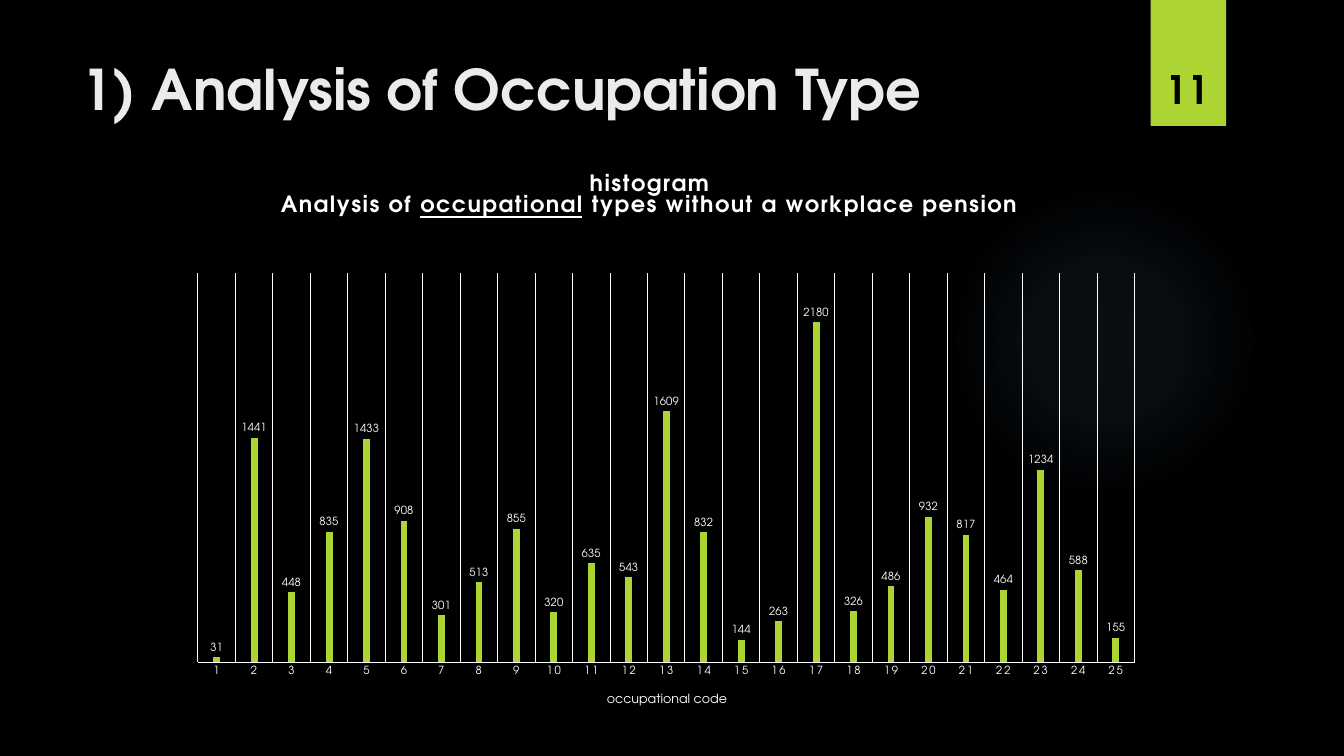
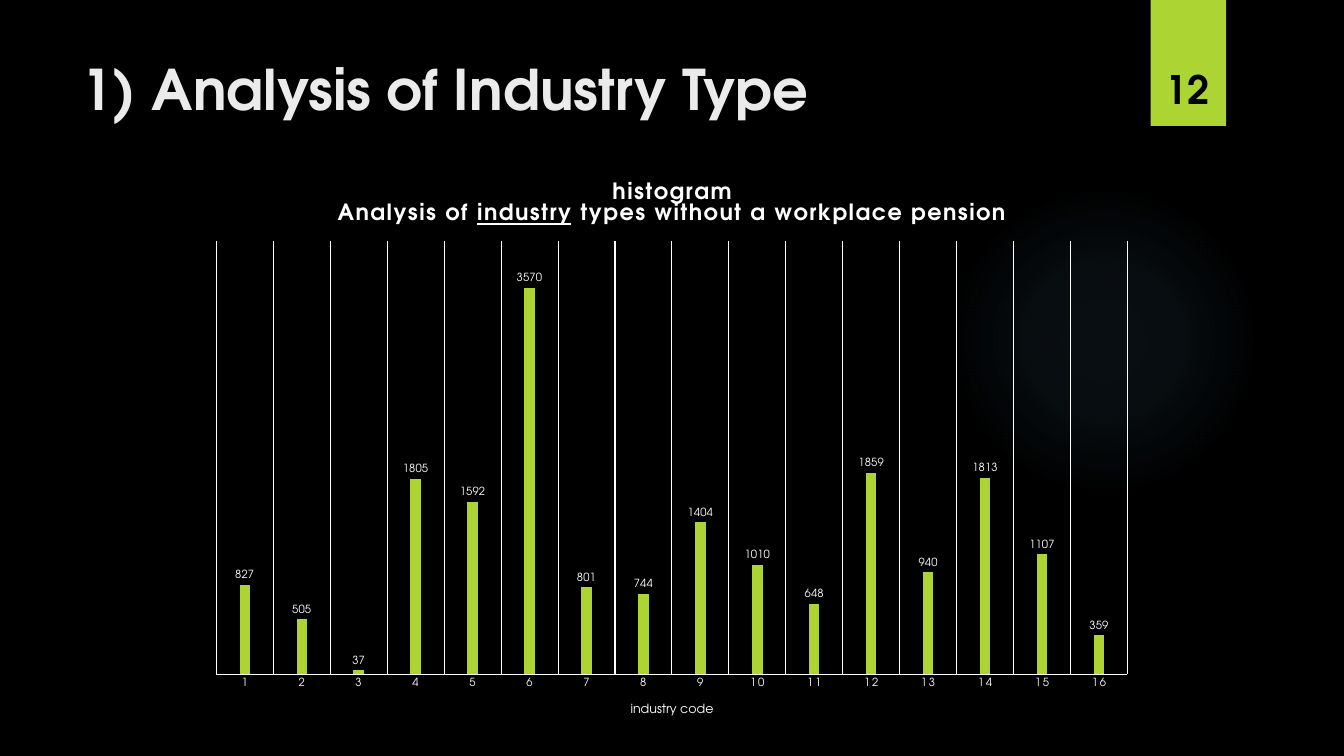
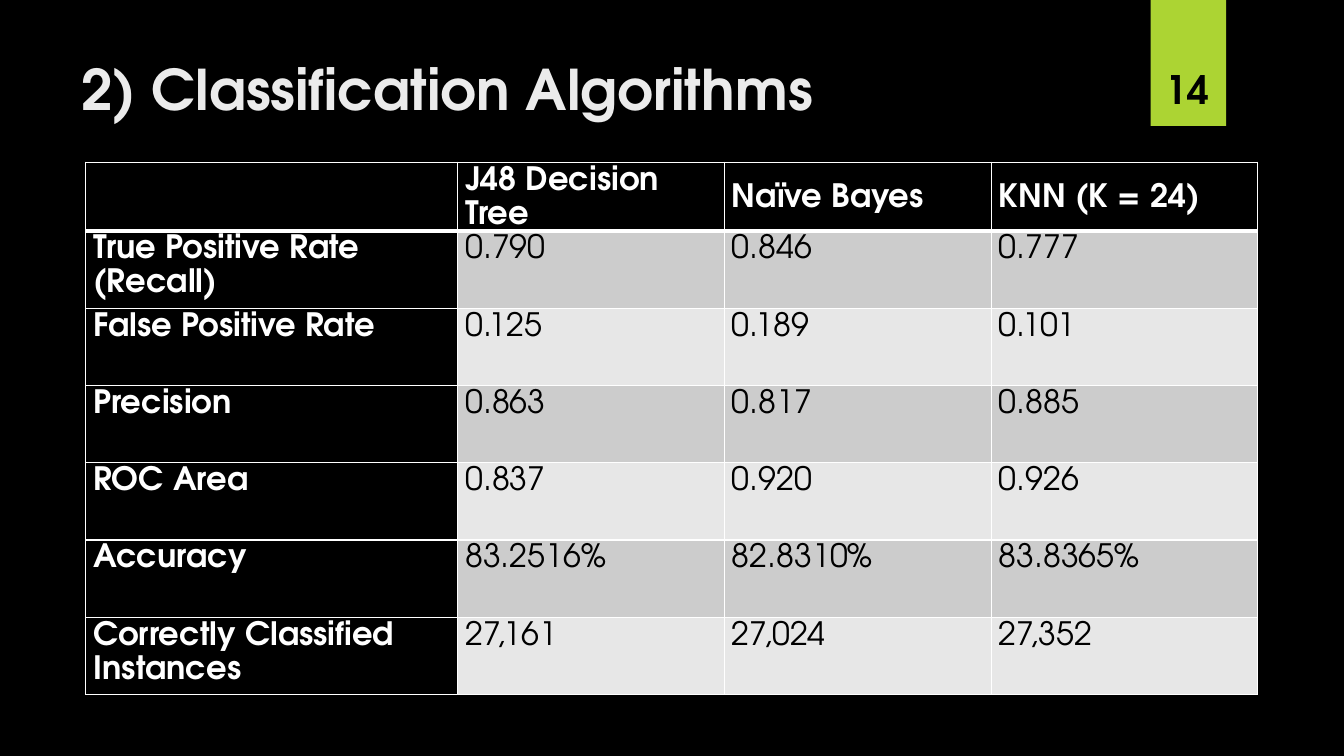
from pptx import Presentation
from pptx.chart.data import CategoryChartData as Data
from pptx.dml.color import RGBColor
from pptx.enum.chart import XL_CHART_TYPE as Kind, XL_LABEL_POSITION as Pos, XL_TICK_MARK as Tick
from pptx.enum.shapes import MSO_SHAPE as Form
from pptx.enum.text import MSO_ANCHOR as Anchor, PP_ALIGN as Align
from pptx.oxml import parse_xml
from pptx.oxml.ns import nsdecls
from pptx.util import Pt

FACE = "TeX Gyre Adventor"
BLACK, WHITE, LIME, PALE = "000000", "FFFFFF", "ACD433", "EBEBEB"
GREYS = ["CCCCCC", "E7E7E7"]
COLS, ROWS, UNIT = 160, 90, 76200


def hue(code):
    return RGBColor.from_string(code)


def style(font, size, code, bold=False):
    font.name, font.size, font.bold = FACE, Pt(size), bold
    font.color.rgb = hue(code)


deck = Presentation()
deck.slide_width, deck.slide_height = COLS * UNIT, ROWS * UNIT

heads = [
    ("1) Analysis of Occupation Type", "11"),
    ("1) Analysis of Industry Type", "12"),
    ("2) Classification Algorithms", "14"),
]
stops = "".join(
    f'<a:gs pos="{at}000"><a:srgbClr val="7AC4F0"><a:alpha val="{alpha}000"/></a:srgbClr></a:gs>'
    for at, alpha in [(0, 7), (36, 6), (69, 0)])
glow = (f'<a:gradFill {nsdecls("a")} rotWithShape="1"><a:gsLst>{stops}</a:gsLst><a:path path="circle">'
        '<a:fillToRect l="50000" t="50000" r="50000" b="50000"/></a:path></a:gradFill>')

slides = []
for title, page in heads:
    slide = deck.slides.add_slide(deck.slide_layouts[6])
    slides.append(slide)
    slide.background.fill.solid()
    slide.background.fill.fore_color.rgb = hue(BLACK)

    for form, spot in [(Form.OVAL, (112.9, 22, 37, 37)), (Form.RECTANGLE, (136.98, 0, 9, 15))]:
        shape = slide.shapes.add_shape(form, *(round(n * UNIT) for n in spot))
        shape.shadow.inherit = False
        shape.line.fill.background()
        if form == Form.OVAL:
            shape.fill.background()
            blank = shape.fill._xPr.find("{*}noFill")
            blank.getparent().replace(blank, parse_xml(glow))
        else:
            shape.fill.solid()
            shape.fill.fore_color.rgb = hue(LIME)

    for text, spot, size, code, side, anchor in [
        (title, (8.5, 5.9, 123.5, 18.4), 40, PALE, Align.LEFT, Anchor.TOP),
        (page, (135.9, 3.9, 11, 10.1), 28, BLACK, Align.CENTER, Anchor.BOTTOM),
    ]:
        frame = slide.shapes.add_textbox(*(round(n * UNIT) for n in spot)).text_frame
        frame.word_wrap = True
        frame.vertical_anchor = anchor
        par = frame.paragraphs[0]
        par.text, par.alignment = text, side
        style(par.font, size, code, True)

plots = [
    ("occupational", (19.4, 18.2, 115.8, 67.9), (0.036, 0.21, 0.963, 0.683), 0.942, 2500,
     [31, 1441, 448, 835, 1433, 908, 301, 513, 855, 320, 635, 543, 1609,
      832, 144, 263, 2180, 326, 486, 932, 817, 464, 1234, 588, 155]),
    ("industry", (23.5, 19.1, 113, 68.5), (0.02, 0.14, 0.96, 0.753), 0.939, 4000,
     [827, 505, 37, 1805, 1592, 3570, 801, 744, 1404, 1010, 648, 1859, 940, 1813, 1107, 359]),
]
for slide, (topic, spot, inner, low, top, vals) in zip(slides, plots):
    data = Data()
    data.categories = [str(n + 1) for n in range(len(vals))]
    data.add_series("Series 1", vals)
    chart = slide.shapes.add_chart(
        Kind.COLUMN_CLUSTERED, *(round(n * UNIT) for n in spot), data).chart
    style(chart.font, 10, WHITE)
    chart.has_legend = False

    frame = chart.chart_title.text_frame
    frame.text = "histogram"
    line = frame.add_paragraph()
    for part in ["Analysis of ", topic, " types without a workplace pension"]:
        run = line.add_run()
        run.text = part
        run.font.underline = part == topic
    for par in frame.paragraphs:
        style(par.font, 16, WHITE, True)
        for run in par.runs:
            style(run.font, 16, WHITE, True)
            run.font._element.set("spc", "120")
    chart.chart_title.include_in_layout = False

    axis = chart.category_axis
    axis.major_tick_mark = axis.minor_tick_mark = Tick.NONE
    style(axis.tick_labels.font, 8, WHITE)
    axis.tick_labels.font._element.set("spc", "120")
    axis.has_major_gridlines = True
    for rule in [axis.format.line, axis.major_gridlines.format.line]:
        rule.color.rgb, rule.width = hue(WHITE), Pt(0.75)
    label = axis.axis_title.text_frame
    label.text = f"{topic} code"
    style(label.paragraphs[0].runs[0].font, 9, WHITE)

    scale = chart.value_axis
    scale.minimum_scale, scale.maximum_scale = 0, top
    scale.has_major_gridlines = False
    scale.visible = False

    plot = chart.plots[0]
    plot.gap_width, plot.overlap, plot.vary_by_categories = 444, -90, False
    bars = plot.series[0].format.fill
    bars.solid()
    bars.fore_color.rgb = hue(LIME)
    plot.has_data_labels = True
    tags = plot.data_labels
    tags.show_value, tags.position = True, Pos.OUTSIDE_END
    style(tags.font, 8, WHITE)

    area = chart._chartSpace.chart.plotArea
    for host, keys, sizes, mark in [
        (area, "xywh", inner, '<c:layoutTarget val="inner"/>'),
        (axis.axis_title._element, "xy", (0.454, low), ""),
    ]:
        for old in host.findall("{*}layout"):
            host.remove(old)
        modes = "".join(f'<c:{key}Mode val="edge"/>' for key in "xy")
        sides = "".join(f'<c:{key} val="{size}"/>' for key, size in zip(keys, sizes))
        place = parse_xml(f'<c:layout {nsdecls("c")}><c:manualLayout>{mark}{modes}{sides}'
                          '</c:manualLayout></c:layout>')
        host.insert(0 if host is area else 1, place)

rows = [
    ("", "J48 Decision Tree", "Naïve Bayes", "KNN (K = 24)"),
    ("True Positive Rate (Recall)", "0.790", "0.846", "0.777"),
    ("False Positive Rate", "0.125", "0.189", "0.101"),
    ("Precision", "0.863", "0.817", "0.885"),
    ("ROC Area", "0.837", "0.920", "0.926"),
    ("Accuracy", "83.2516%", "82.8310%", "83.8365%"),
    ("Correctly Classified Instances", "27,161", "27,024", "27,352"),
]
wide, high = [44.3] + [31.75] * 3, [8.2] + [9.2] * 6
spot = 10.2, 19.3, sum(wide), sum(high)
grid = slides[2].shapes.add_table(
    len(rows), len(wide), *(round(n * UNIT) for n in spot)).table
for col, size in zip(grid.columns, wide):
    col.width = round(size * UNIT)
for r, (row, size) in enumerate(zip(rows, high)):
    grid.rows[r].height = round(size * UNIT)
    for c, text in enumerate(row):
        cell = grid.cell(r, c)
        head = r == 0 or c == 0
        cell.margin_left = cell.margin_right = Pt(5.4)
        cell.margin_top = cell.margin_bottom = 0
        cell.vertical_anchor = Anchor.TOP if r else Anchor.MIDDLE
        par = cell.text_frame.paragraphs[0]
        par.text, par.line_spacing = text, Pt(24.3)
        style(par.font, 23, WHITE if head else BLACK, head)
        for side in "LRTB":
            thick = 3 if (r, side) in [(0, "B"), (1, "T")] else 1
            cell._tc.get_or_add_tcPr().append(parse_xml(
                f'<a:ln{side} {nsdecls("a")} w="{Pt(thick)}"><a:solidFill>'
                f'<a:srgbClr val="{WHITE}"/></a:solidFill></a:ln{side}>'))
        cell.fill.solid()
        cell.fill.fore_color.rgb = hue(BLACK if head else GREYS[(r - 1) % 2])

deck.save("out.pptx")
